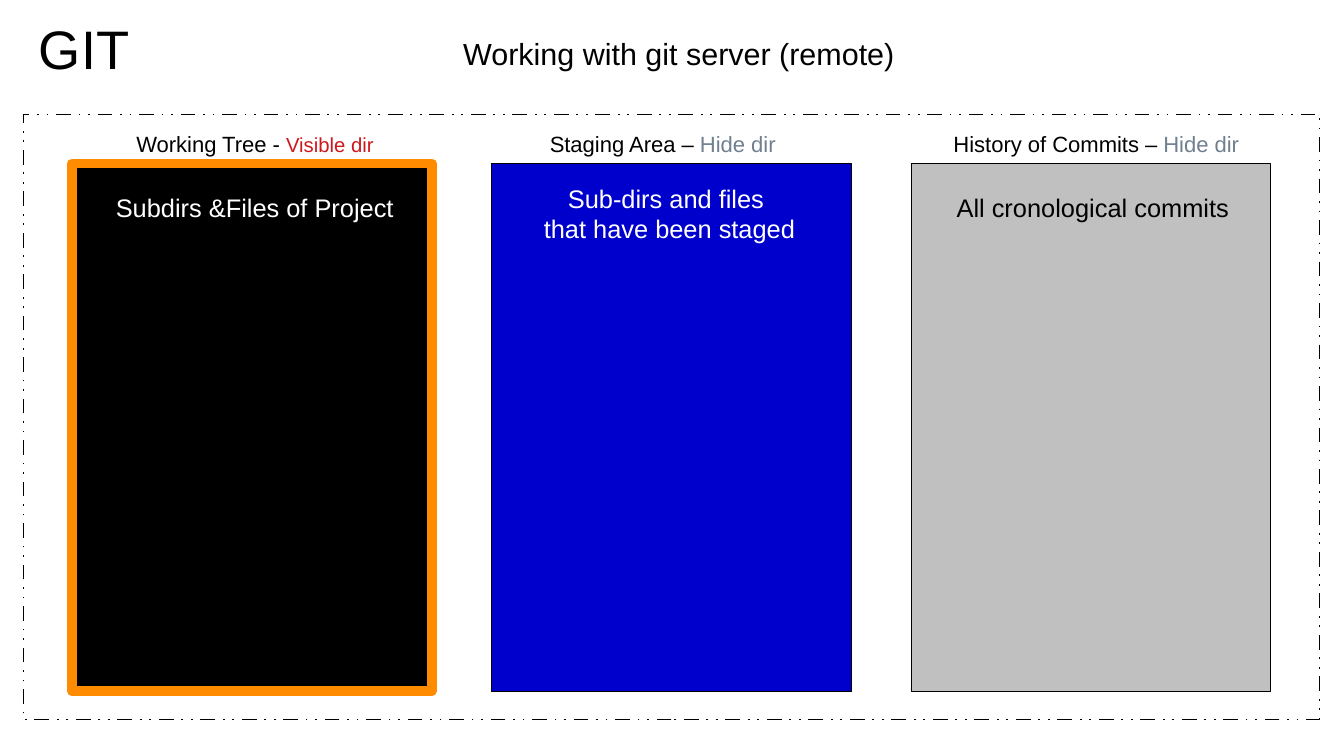
from lxml.etree import SubElement
from pptx import Presentation
from pptx.dml.color import RGBColor
from pptx.enum.shapes import MSO_SHAPE
from pptx.enum.text import MSO_ANCHOR, PP_ALIGN
from pptx.oxml.ns import qn
from pptx.util import Inches, Pt

BLACK = RGBColor(0x00, 0x00, 0x00)
WHITE = RGBColor(0xFF, 0xFF, 0xFF)
ORANGE = RGBColor(0xFF, 0x8C, 0x00)
BLUE = RGBColor(0x00, 0x00, 0xCD)
SILVER = RGBColor(0xC0, 0xC0, 0xC0)
RED = RGBColor(0xCE, 0x18, 0x1E)
SLATE = RGBColor(0x70, 0x80, 0x90)

TITLE = "GIT"
TOPIC = "Working with git server (remote)"
AREAS = [
    {"head": [("Working Tree - ", 13, BLACK), ("Visible dir", 12, RED)],
     "head_at": 0.43, "body": ["Subdirs &Files of Project"],
     "body_at": (0.23, 1.53), "ink": WHITE,
     "fill": BLACK, "line": ORANGE, "weight": 5.67},
    {"head": [("Staging Area – ", 13, BLACK), ("Hide dir", 13, SLATE)],
     "head_at": 0.38, "body": ["Sub-dirs and files ", "that have been staged"],
     "body_at": (0.19, 1.45), "ink": WHITE,
     "fill": BLUE, "line": BLACK, "weight": 0.5},
    {"head": [("History of Commits – ", 13, BLACK), ("Hide dir", 13, SLATE)],
     "head_at": 0.25, "body": ["All cronological commits "],
     "body_at": (0.25, 1.53), "ink": BLACK,
     "fill": SILVER, "line": BLACK, "weight": 0.5},
]

LEFT, PITCH, TOP, WIDE, HIGH = 0.59, 3.44, 1.34, 2.95, 4.33
HEAD_TOP, HEAD_WIDE, BODY_WIDE = 1.02, 2.7, 2.54
FRAME = (0.19, 0.94, 10.63, 4.96)
DASHES = [(17, 9), (2, 9), (2, 9)]

deck = Presentation()
deck.slide_width, deck.slide_height = Inches(11.02), Inches(6.2)
slide = deck.slides.add_slide(deck.slide_layouts[5])


def add_box(at, fill, line, weight):
    box = slide.shapes.add_shape(MSO_SHAPE.RECTANGLE, *map(Inches, at))
    box.shadow.inherit = False
    box.fill.solid()
    box.fill.fore_color.rgb = fill
    box.line.color.rgb = line
    box.line.width = Pt(weight)
    return box


def write(para, runs):
    for text, size, ink in runs:
        run = para.add_run()
        run.text = text
        for name, value in {"name": "Arial", "size": Pt(size)}.items():
            setattr(run.font, name, value)
        run.font.color.rgb = ink


def add_text(at, lines, align=PP_ALIGN.LEFT):
    frame = slide.shapes.add_textbox(*map(Inches, at)).text_frame
    frame.word_wrap = False
    for row, runs in enumerate(lines):
        para = frame.add_paragraph() if row else frame.paragraphs[0]
        para.alignment = align
        write(para, runs)


border = add_box(FRAME, WHITE, BLACK, 0.5)
dash = SubElement(border._element.spPr.find(qn("a:ln")), qn("a:custDash"))
for mark, gap in DASHES:
    SubElement(dash, qn("a:ds"), d=str(mark * 100000), sp=str(gap * 100000))

for col, area in enumerate(AREAS):
    left = LEFT + col * PITCH
    add_box((left, TOP, WIDE, HIGH), area["fill"], area["line"], area["weight"])
    add_text((left + area["head_at"], HEAD_TOP, HEAD_WIDE, 0.3), [area["head"]])
    shift, top = area["body_at"]
    lines = [[(text, 15, area["ink"])] for text in area["body"]]
    high = 0.1 + 0.25 * len(lines)
    add_text((left + shift, top, BODY_WIDE, high), lines, PP_ALIGN.CENTER)

title = slide.shapes.title
for name, value in {"left": 0.04, "top": 0.04, "width": 1.3, "height": 0.7}.items():
    setattr(title, name, Inches(value))
frame = title.text_frame
for side in ("left", "top", "right", "bottom"):
    setattr(frame, "margin_" + side, 0)
frame.vertical_anchor = MSO_ANCHOR.MIDDLE
frame.paragraphs[0].alignment = PP_ALIGN.CENTER
write(frame.paragraphs[0], [(TITLE, 32, BLACK)])
add_text((3.7, 0.24, 3.9, 0.38), [[(TOPIC, 18, BLACK)]])

deck.save("out.pptx")
